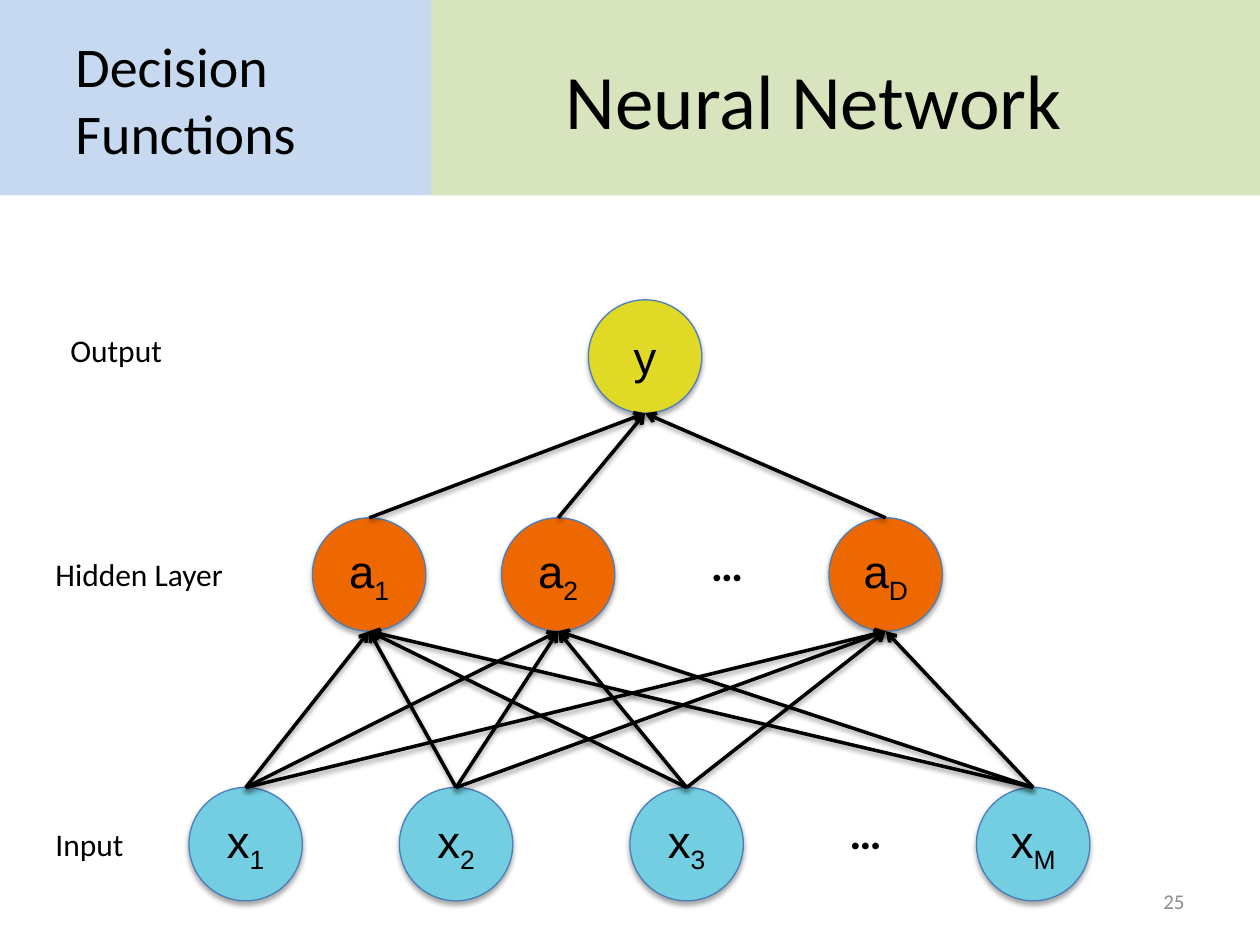
from lxml import etree
from pptx import Presentation
from pptx.dml.color import RGBColor
from pptx.enum.shapes import MSO_CONNECTOR, MSO_SHAPE
from pptx.enum.text import MSO_ANCHOR, PP_ALIGN
from pptx.oxml.ns import qn
from pptx.util import Inches, Pt

LEFT, CENTER, RIGHT = PP_ALIGN.LEFT, PP_ALIGN.CENTER, PP_ALIGN.RIGHT
TOP, MIDDLE = MSO_ANCHOR.TOP, MSO_ANCHOR.MIDDLE
RECTANGLE, CIRCLE = MSO_SHAPE.RECTANGLE, MSO_SHAPE.FLOWCHART_CONNECTOR
STRAIGHT = MSO_CONNECTOR.STRAIGHT

COLORS = {
    "topic": "C6D9F1", "header": "D7E4BD", "text": "000000", "number": "8C8C8C",
    "input": "72CEE0", "hidden": "EE6802", "output": "E0D925",
    "outline": "4B7EBC", "arrow": "000000", "shadow": "000000",
}

# Content: header panels as (left, width, colour)
PANELS = [(0, 3.42, "topic"), (3.42, 6.58, "header")]

# Texts as (text, box, size, alignment, anchor, colour, bold)
TEXTS = [
    ("Neural Network", (3.42, 0.16, 6.08, 1.25), 44, CENTER, MIDDLE, "text", False),
    ("Decision Functions", (0.5, 0.16, 2.92, 1.25), 32, LEFT, MIDDLE, "text", False),
    ("25", (7.17, 6.95, 2.33, 0.4), 12, RIGHT, MIDDLE, "number", False),
    ("…", (5.48, 4.2, 0.58, 0.54), 26, CENTER, MIDDLE, "text", True),
    ("…", (6.58, 6.33, 0.58, 0.54), 26, CENTER, MIDDLE, "text", True),
    ("Output", (0.46, 2.58, 1.42, 0.4), 18, LEFT, TOP, "text", False),
    ("Hidden Layer", (-0.02, 4.36, 2.25, 0.4), 18, CENTER, TOP, "text", False),
    ("Input", (0, 6.5, 1.42, 0.4), 18, CENTER, TOP, "text", False),
]

# Layers from bottom to top: (colour, top, [(letter, subscript, left)])
LAYERS = [
    ("input", 6.25, [("x", "1", 1.5), ("x", "2", 3.17), ("x", "3", 5), ("x", "M", 7.75)]),
    ("hidden", 4.11, [("a", "1", 2.48), ("a", "2", 3.98), ("a", "D", 6.58)]),
    ("output", 2.38, [("y", "", 4.67)]),
]
DIAMETER = 0.9


def color(name):
    return RGBColor.from_string(COLORS[name])


def add_shadow(shape, opacity, distance):
    """Give a shape or connector a soft shadow straight below it."""
    effects = etree.SubElement(shape._element.spPr, qn("a:effectLst"))
    shadow = etree.SubElement(effects, qn("a:outerShdw"), blurRad=str(Pt(3.1)),
                              dist=str(Pt(distance)), dir="5400000", rotWithShape="0")
    shade = etree.SubElement(shadow, qn("a:srgbClr"), val=COLORS["shadow"])
    etree.SubElement(shade, qn("a:alpha"), val=str(opacity * 1000))


def format_run(run, size, font_name, color_name, bold=False):
    run.font.size = Pt(size)
    run.font.name = font_name
    run.font.bold = bold
    run.font.color.rgb = color(color_name)


def add_panel(slide, left, width, color_name):
    panel = slide.shapes.add_shape(RECTANGLE, Inches(left), 0, Inches(width), Inches(1.55))
    panel.shadow.inherit = False
    panel.fill.solid()
    panel.fill.fore_color.rgb = color(color_name)
    panel.line.fill.background()


def add_text(slide, text, box, size, alignment, anchor, color_name, bold):
    text_frame = slide.shapes.add_textbox(*map(Inches, box)).text_frame
    text_frame.word_wrap = True
    text_frame.vertical_anchor = anchor
    text_frame.text = text
    paragraph = text_frame.paragraphs[0]
    paragraph.alignment = alignment
    format_run(paragraph.runs[0], size, "Calibri", color_name, bold)


def add_node(slide, letter, subscript, left, top, color_name):
    node = slide.shapes.add_shape(CIRCLE, Inches(left), Inches(top),
                                  Inches(DIAMETER), Inches(DIAMETER))
    node.fill.solid()
    node.fill.fore_color.rgb = color(color_name)
    node.line.color.rgb = color("outline")
    node.line.width = Pt(0.75)
    add_shadow(node, 35, 1.8)
    text_frame = node.text_frame
    text_frame.margin_left = text_frame.margin_right = 0
    text_frame.vertical_anchor = MIDDLE
    text_frame.text = letter
    paragraph = text_frame.paragraphs[0]
    paragraph.alignment = CENTER
    if subscript:
        run = paragraph.add_run()
        run.text = subscript
        run.font._element.set("baseline", "-25000")
    for run in paragraph.runs:
        format_run(run, 26, "Arial", "text")
    return node


def add_arrow(slide, lower, upper):
    """Draw an arrow from the top of one node to the bottom of another."""
    arrow = slide.shapes.add_connector(
        STRAIGHT, lower.left + lower.width // 2, lower.top,
        upper.left + upper.width // 2, upper.top + upper.height)
    arrow.begin_connect(lower, 0)
    arrow.line.color.rgb = color("arrow")
    arrow.line.width = Pt(2)
    etree.SubElement(arrow.line._get_or_add_ln(), qn("a:tailEnd"), type="arrow")
    add_shadow(arrow, 38, 1.6)


def main():
    presentation = Presentation()
    presentation.slide_width, presentation.slide_height = Inches(10), Inches(7.5)
    slide = presentation.slides.add_slide(presentation.slide_layouts[6])

    # Header and labels
    for panel in PANELS:
        add_panel(slide, *panel)
    for text in TEXTS:
        add_text(slide, *text)

    # Nodes, then arrows between neighbouring layers
    layers = [[add_node(slide, *node, top, color_name) for node in nodes]
              for color_name, top, nodes in LAYERS]
    for lower_layer, upper_layer in zip(layers, layers[1:]):
        for upper in upper_layer:
            for lower in lower_layer:
                add_arrow(slide, lower, upper)

    presentation.save("out.pptx")


if __name__ == "__main__":
    main()
